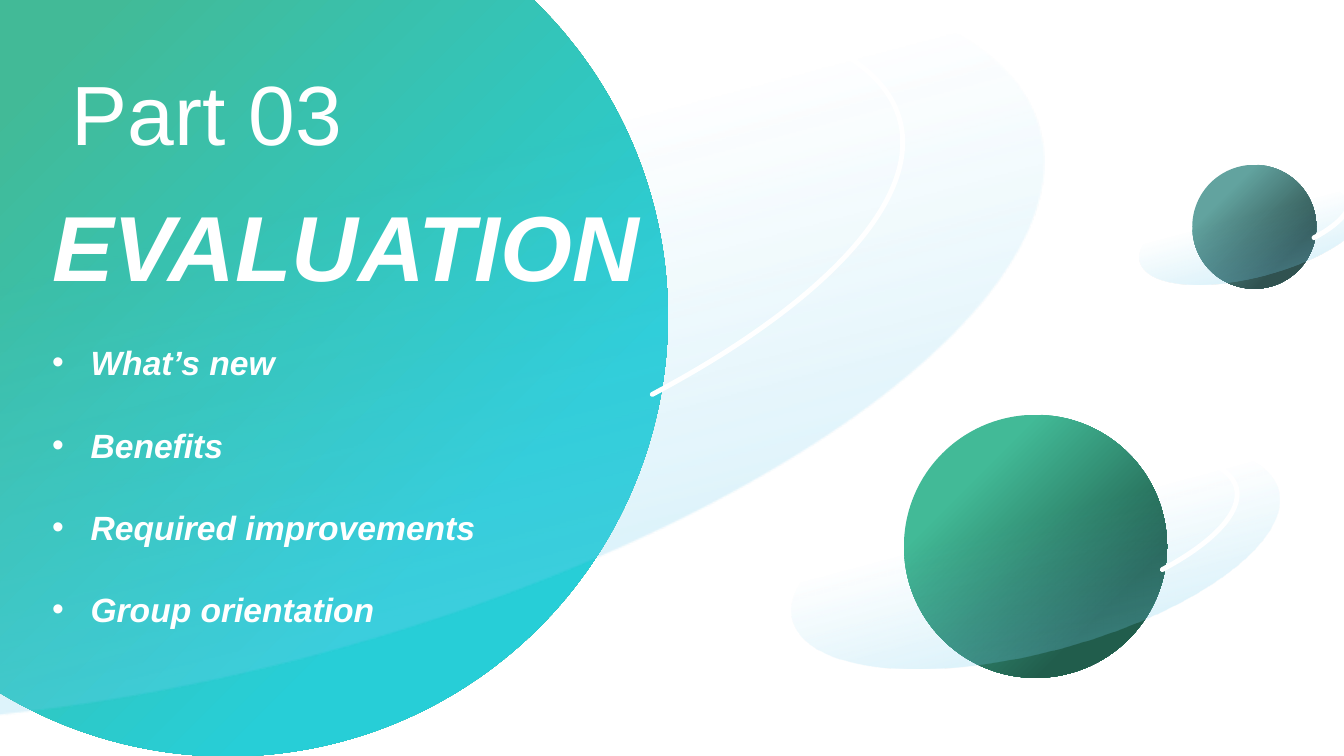
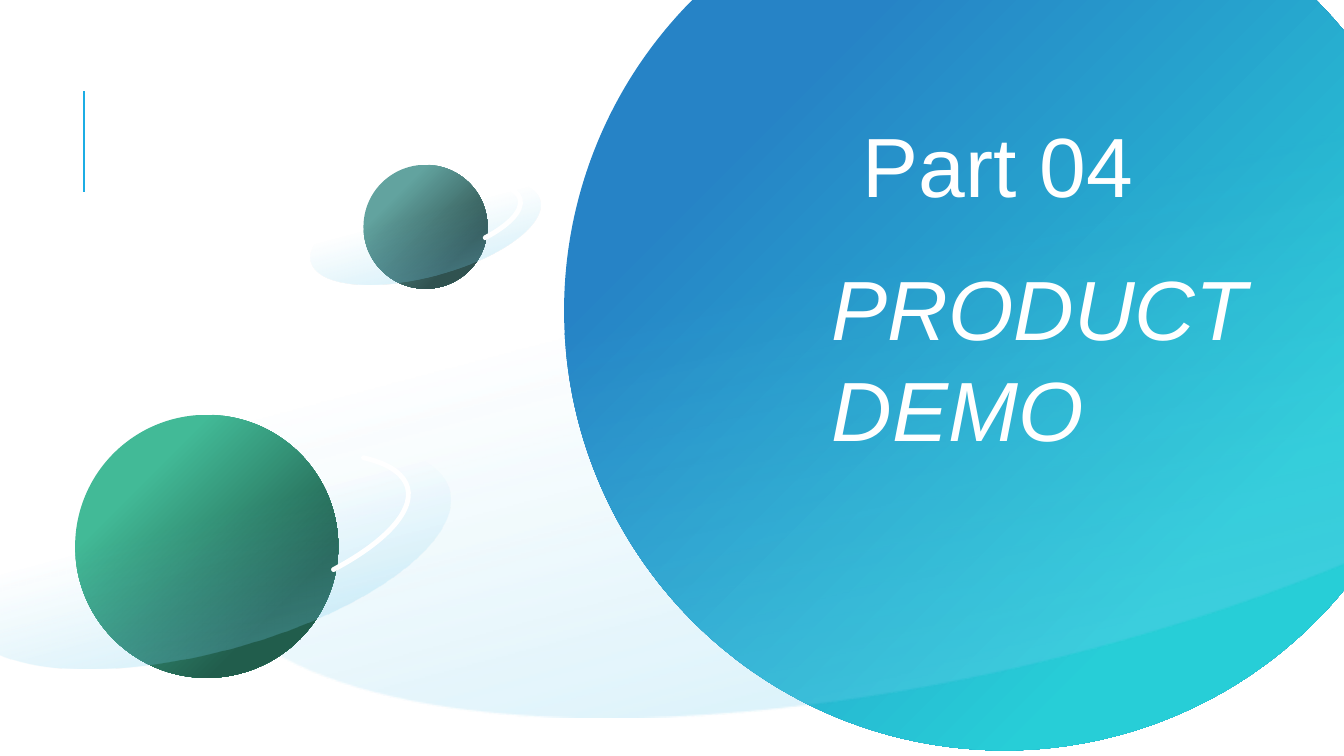
from lxml import etree
from pptx import Presentation
from pptx.dml.color import RGBColor
from pptx.enum.shapes import MSO_CONNECTOR, MSO_SHAPE
from pptx.enum.text import PP_ALIGN
from pptx.oxml.ns import qn
from pptx.util import Inches, Pt

OVAL, ARC = MSO_SHAPE.OVAL, MSO_SHAPE.ARC
LINE = MSO_CONNECTOR.STRAIGHT
LEFT, MID, RIGHT = PP_ALIGN.LEFT, PP_ALIGN.CENTER, PP_ALIGN.RIGHT

THEME = {
    "font": "Arial", "white": "FFFFFF", "ring": "77CEEF", "rule": "1CADE4",
    "green": ("42BA97", "27CED7"), "blue": ("2683C6", "27CED7"),
    "grey": ("62A39F", "305250"), "leaf": ("42BA97", "215D4C"),
    "navy": ("2683C6", "134163"), "mint": ("42BA97", "134163"),
    "part": 60, "head": 66, "list": 24, "arc": 3.5, "blur": 25,
}
TILT = 345.1
RING = (1.91, 0.73, 0.033)
BAND = (1.58, 0.55, -0.02)
SWEEP = (208.17, 16.55)

DECK = [
    {
        "sun": (2.26, 3.14, "green", True),
        "rule": False,
        "shift": 0,
        "star": (7.19, 5.49),
        "part": ("Part 03", (0.6, 0.56, 2.91, 1.11), MID),
        "head": ("EVALUATION", (0.42, 1.83, 7, 4.4),
                 {"size": THEME["head"], "bold": True}),
        "items": ["What’s new", "Benefits", "Required improvements",
                  "Group orientation"],
    },
    {
        "sun": (9.96, 3.08, "blue", False),
        "rule": True,
        "shift": -8.22,
        "star": (1.43, 1.23),
        "part": ("Part 04", (8.43, 1.08, 2.91, 1.11), RIGHT),
        "head": ("PRODUCT DEMO", (8.15, 2.5, 5, 2.12),
                 {"size": THEME["part"], "pitch": 72}),
        "items": [],
    },
]


def rgb(code):
    return RGBColor.from_string(code)


def add_part(slide, kind, x, y, wide, high):
    shape = slide.shapes.add_shape(
        kind, Inches(x - wide / 2), Inches(y - high / 2),
        Inches(wide), Inches(high))
    shape.shadow.inherit = False
    shape.line.fill.background()
    return shape


def blend(shape, codes, spots, angle):
    shape.fill.gradient()
    shape.fill.gradient_angle = angle
    for stop, code, spot in zip(shape.fill.gradient_stops, codes, spots):
        stop.color.rgb = rgb(code)
        stop.position = spot


def add_ball(slide, x, y, size, tone):
    ball = add_part(slide, OVAL, x, y, size, size)
    blend(ball, THEME[tone], (0.25, 0.76), 315)
    return ball


def add_star(slide, x, y, size, tone):
    ball = add_ball(slide, x, y, size, tone)
    effects = ball._element.spPr.find(qn("a:effectLst"))
    etree.SubElement(effects, qn("a:softEdge"), rad=str(Pt(THEME["blur"])))


def add_orbit(slide, kind, x, y, size, ratio):
    wide, high, drop = (size * part for part in ratio)
    orbit = add_part(slide, kind, x, y + drop, wide, high)
    orbit.rotation = TILT
    return orbit


def add_planet(slide, x, y, size, tone, shine=True):
    add_ball(slide, x, y, size, tone)
    ring = add_orbit(slide, OVAL, x, y, size, RING)
    blend(ring, [THEME["ring"]] * 2, (0.42, 1), 270)
    for color, alpha in zip(ring._element.iter(qn("a:srgbClr")), (0, 50000)):
        etree.SubElement(color, qn("a:alpha"), val=str(alpha))
    if shine:
        arc = add_orbit(slide, ARC, x, y, size, BAND)
        arc.adjustments[0], arc.adjustments[1] = SWEEP
        arc.fill.background()
        arc.line.color.rgb = rgb(THEME["white"])
        arc.line.width = Pt(THEME["arc"])
        arc.line._get_or_add_ln().set("cap", "rnd")


def add_box(slide, place):
    frame = slide.shapes.add_textbox(*map(Inches, place)).text_frame
    frame.word_wrap = True
    return frame


def write(para, text, size, bold=False, italic=False, align=LEFT,
          pitch=None, gap=0, bullet=False):
    if bullet:
        props = para._p.get_or_add_pPr()
        props.set("marL", str(Inches(0.38)))
        props.set("indent", str(Inches(-0.38)))
        etree.SubElement(props, qn("a:buFont"), typeface=THEME["font"])
        etree.SubElement(props, qn("a:buChar"), char="•")
    para.alignment = align
    if pitch:
        para.line_spacing = Pt(pitch)
    if gap:
        para.space_before = Pt(gap)
    run = para.add_run()
    run.text = text
    font = run.font
    font.name, font.size = THEME["font"], Pt(size)
    font.bold, font.italic = bold, italic
    font.color.rgb = rgb(THEME["white"])


def add_rule(slide):
    rule = slide.shapes.add_connector(
        LINE, Inches(0.83), Inches(1.9), Inches(0.83), Inches(0.9))
    rule.line.color.rgb = rgb(THEME["rule"])
    rule.line.width = Pt(1.5)
    etree.SubElement(rule._element.spPr, qn("a:effectLst"))


def build(slide, data):
    if data["rule"]:
        add_rule(slide)
    x, y, tone, shine = data["sun"]
    add_planet(slide, x, y, 8.73, tone, shine)

    text, place, look = data["head"]
    frame = add_box(slide, place)
    write(frame.paragraphs[0], text, italic=True, **look)
    for item in data["items"]:
        write(frame.add_paragraph(), item, THEME["list"], bold=True,
              italic=True, gap=30, bullet=True)
    text, place, align = data["part"]
    write(add_box(slide, place).paragraphs[0], text, THEME["part"],
          align=align)

    shift = data["shift"]
    add_planet(slide, 12.44 + shift, 2.25, 1.23, "grey")
    add_star(slide, *data["star"], 0.96, "navy")
    add_star(slide, 10.24 + shift, 3.27, 0.81, "mint")
    add_planet(slide, 10.27 + shift, 5.42, 2.61, "leaf")


def main():
    deck = Presentation()
    deck.slide_width, deck.slide_height = Inches(13.33), Inches(7.5)
    for data in DECK:
        build(deck.slides.add_slide(deck.slide_layouts[6]), data)
    deck.save("out.pptx")


if __name__ == "__main__":
    main()
